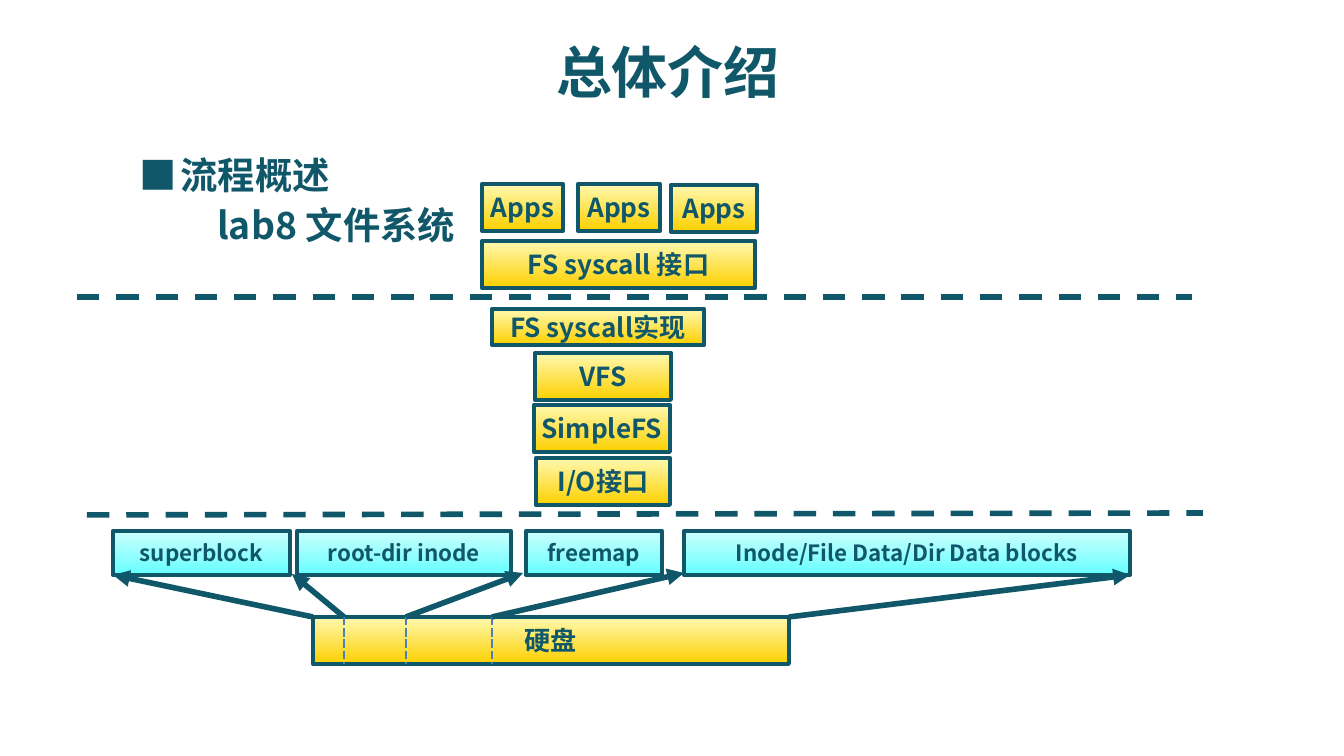
from pptx import Presentation
from pptx.dml.color import RGBColor
from pptx.enum.dml import MSO_LINE
from pptx.enum.shapes import MSO_CONNECTOR, MSO_SHAPE
from pptx.enum.text import MSO_ANCHOR, MSO_AUTO_SIZE, PP_ALIGN
from pptx.oxml.ns import qn
from pptx.util import Pt
from lxml import etree

RECTANGLE = MSO_SHAPE.RECTANGLE
STRAIGHT = MSO_CONNECTOR.STRAIGHT
DASH, SHORT_DASH = MSO_LINE.DASH, MSO_LINE.SQUARE_DOT
TOP, MIDDLE = MSO_ANCHOR.TOP, MSO_ANCHOR.MIDDLE
LEFT, CENTER = PP_ALIGN.LEFT, PP_ALIGN.CENTER

# Content: lengths in px, boxes as left, top, width, height
SCALE = 914400 / 134.4
SLIDE_SIZE = (1344, 756)
FONT, SQUARE_FONT = "Noto Sans CJK SC", "Noto Sans CJK JP"
TEAL, BLUE = "11576A", "4B7EBC"
YELLOW, CYAN = ("FFF9B1", "FDD000"), ("CCFFFF", "66FFFF")

TITLE = ("总体介绍", (63, 34, 1210, 75))
HEADING = ("流程概述", (167, 149, 220, 63))
SQUARE = ("■", (126, 149, 63, 59))
SUBHEADING = ("lab8 文件系统", (204, 199, 280, 60))

LAYERS = [
    ("Apps", (482, 184, 81, 47)),
    ("Apps", (578, 184, 82, 47)),
    ("Apps", (671, 185, 86, 47)),
    ("FS syscall 接口", (482, 241, 273, 47)),
    ("FS syscall实现", (492, 309, 212, 36)),
    ("VFS", (535, 353, 136, 47)),
    ("SimpleFS", (534, 405, 136, 47)),
    ("I/O接口", (536, 458, 134, 47)),
]
BLOCK_TOP, BLOCK_HEIGHT = 531, 44
BLOCKS = [  # text, left, width
    ("superblock", 113, 177),
    ("root-dir inode", 297, 214),
    ("freemap", 526, 136),
    ("Inode/File Data/Dir Data blocks", 684, 446),
]
DISK_LEFT, DISK_TOP, DISK_WIDTH, DISK_HEIGHT = 313, 617, 476, 47
PARTITIONS = [344, 406, 492]
ARROW_TIPS = [(113, 575), (292, 574), (523, 573), (684, 573), (1130, 575)]
BOUNDARIES = [((77, 297), (1192, 297)), ((87, 515), (1203, 513))]


def px(*lengths):
    return [round(length * SCALE) for length in lengths]


def color(value):
    return RGBColor.from_string(value)


def set_text(shape, text, size, font=FONT, align=LEFT, anchor=TOP, wrap=True):
    frame = shape.text_frame
    frame.text = text
    frame.word_wrap = wrap
    frame.auto_size = MSO_AUTO_SIZE.NONE
    frame.vertical_anchor = anchor
    frame.margin_top = frame.margin_bottom = px(3)[0]
    paragraph = frame.paragraphs[0]
    paragraph.alignment = align
    paragraph.space_before = Pt(0)
    for run in paragraph.runs:
        run.font.size, run.font.bold, run.font.name = Pt(size), True, font
        run.font.color.rgb = color(TEAL)
        etree.SubElement(run.font._element, qn("a:ea"), typeface=font)


def place(shape, box):
    shape.left, shape.top, shape.width, shape.height = px(*box)


def add_box(slide, text, box, gradient, size, wrap):
    shape = slide.shapes.add_shape(RECTANGLE, *px(*box))
    shape.shadow.inherit = False
    shape.fill.gradient()
    shape.fill.gradient_angle = 270
    for stop, value in zip(shape.fill.gradient_stops, gradient):
        stop.color.rgb = color(value)
    shape.fill.gradient_stops[0].position = 0
    shape.fill.gradient_stops[1].position = 1
    shape.line.color.rgb = color(TEAL)
    shape.line.width = Pt(2.25)
    set_text(shape, text, size, align=CENTER, anchor=MIDDLE, wrap=wrap)


def add_line(slide, start, end, value=TEAL, width=3, dash=None, arrow=False):
    connector = slide.shapes.add_connector(STRAIGHT, *px(*start, *end))
    connector.line.color.rgb = color(value)
    connector.line.width = Pt(width)
    if dash:
        connector.line.dash_style = dash
    if arrow:
        etree.SubElement(connector.line._get_or_add_ln(), qn("a:tailEnd"), type="triangle")
    etree.SubElement(connector._element.spPr, qn("a:effectLst"))


def main():
    presentation = Presentation()
    presentation.slide_width, presentation.slide_height = px(*SLIDE_SIZE)
    slide = presentation.slides.add_slide(presentation.slide_layouts[1])

    # Title and heading
    title, body = slide.shapes.title, slide.placeholders[1]
    place(title, TITLE[1])
    set_text(title, TITLE[0], 30, align=CENTER, anchor=MIDDLE)
    place(body, HEADING[1])
    set_text(body, HEADING[0], 20)
    properties = body.text_frame.paragraphs[0]._p.get_or_add_pPr()
    properties.set("marL", "0")
    properties.set("indent", "0")
    etree.SubElement(properties, qn("a:buNone"))
    for (text, box), font in ((SQUARE, SQUARE_FONT), (SUBHEADING, FONT)):
        set_text(slide.shapes.add_textbox(*px(*box)), text, 20, font)

    # Software layers, disk blocks and the disk
    for text, box in LAYERS:
        add_box(slide, text, box, YELLOW, 14, wrap=False)
    for text, left, width in BLOCKS:
        add_box(slide, text, (left, BLOCK_TOP, width, BLOCK_HEIGHT), CYAN, 12, wrap=True)
    disk = (DISK_LEFT, DISK_TOP, DISK_WIDTH, DISK_HEIGHT)
    add_box(slide, "硬盘", disk, YELLOW, 14, wrap=False)

    # Boundaries between the levels
    for start, end in BOUNDARIES:
        add_line(slide, start, end, dash=DASH)

    # Disk partitions and the arrows to their blocks
    for x in PARTITIONS:
        add_line(slide, (x, DISK_TOP), (x, DISK_TOP + DISK_HEIGHT), BLUE, 1.5, SHORT_DASH)
    edges = [DISK_LEFT, *PARTITIONS, DISK_LEFT + DISK_WIDTH]
    for x, tip in zip(edges, ARROW_TIPS):
        add_line(slide, (x, DISK_TOP), tip, arrow=True)

    presentation.save("out.pptx")


if __name__ == "__main__":
    main()
